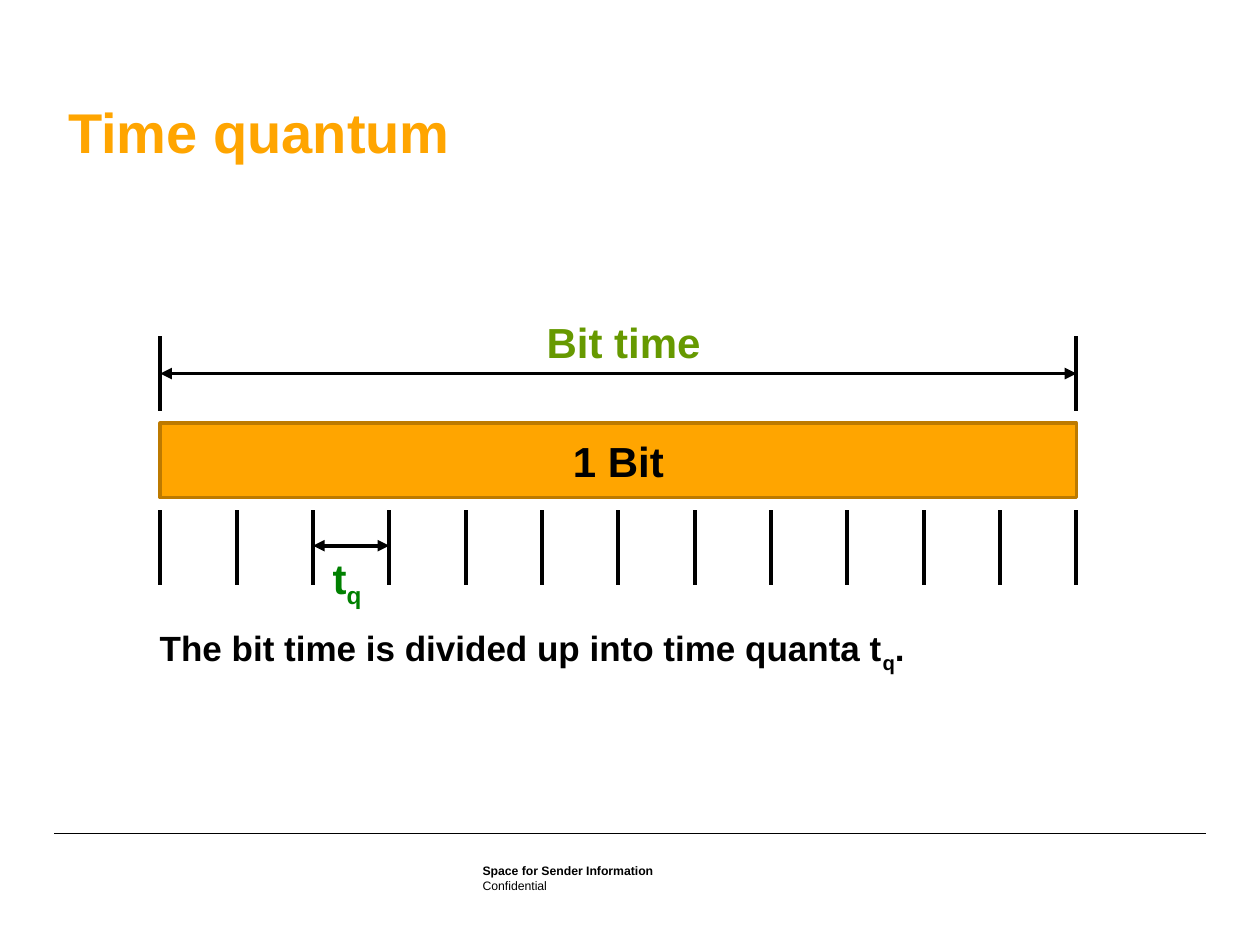
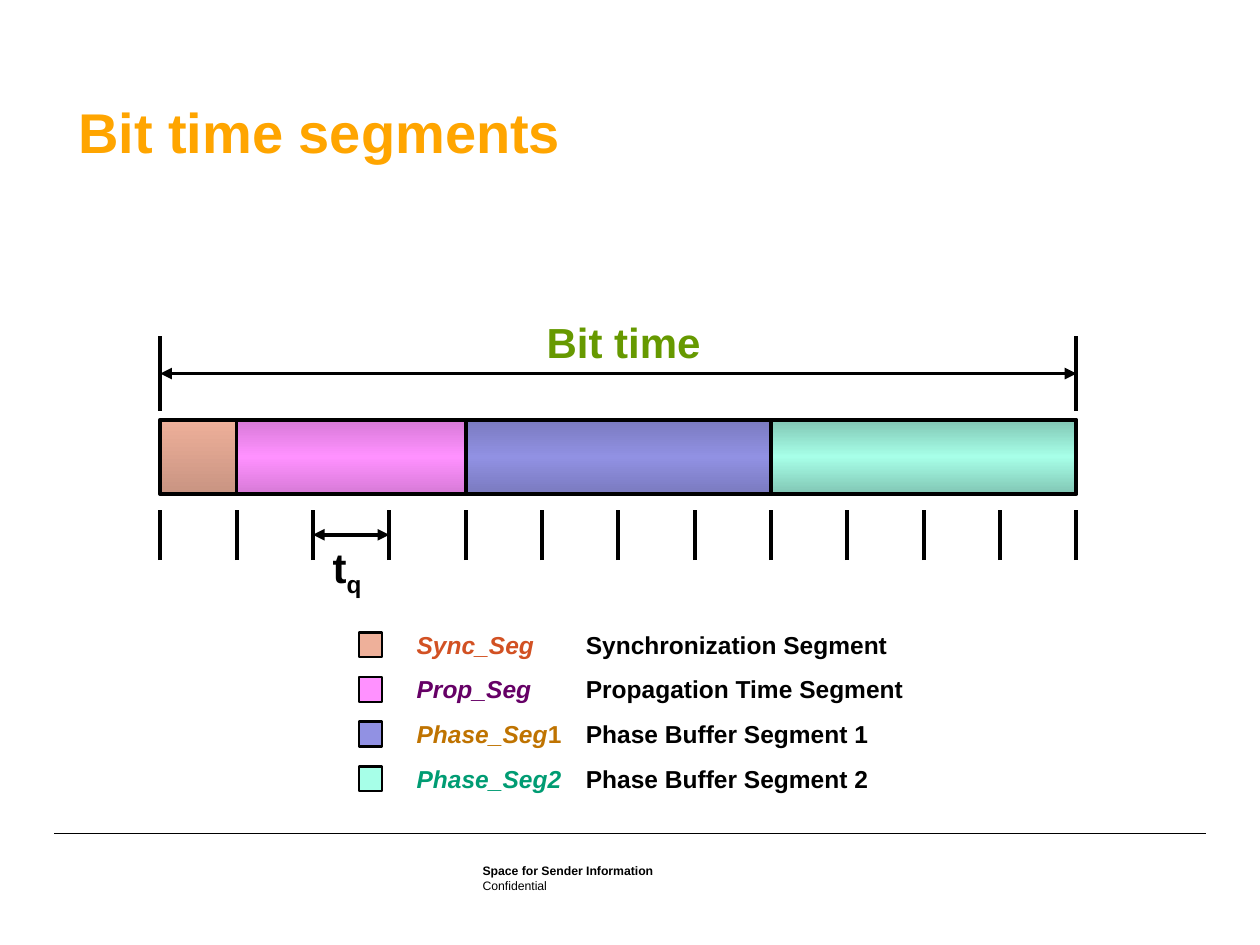
import lxml.etree
import pptx
import pptx.dml.color
import pptx.enum.dml
import pptx.enum.shapes
import pptx.enum.text
import pptx.oxml
import pptx.oxml.ns
import pptx.util

Cm = pptx.util.Cm
Pt = pptx.util.Pt
qn = pptx.oxml.ns.qn

COLORS = {
    "black": "000000",
    "title": "FFA500",
    "title_shadow": "C0C0C0",
    "bit_edge": "BD7A00",
    "bit_time": "669900",
    "quantum": "008000",
    "sync": "EEB09A",
    "sync_name": "D25123",
    "prop": "FF91FF",
    "prop_name": "660066",
    "phase1": "9191E3",
    "phase1_name": "BF7300",
    "phase2": "A7FFE8",
    "phase2_name": "009C73",
}
FONT = "Arial"
QUANTA = 12
DIAGRAM = (3.23, 6.78, 18.47)
BAR_HEIGHT = 1.5
MARKED_QUANTUM = 2

SEGMENTS = [
    ("sync", 1, [(0, 100), (100, 68)], [("Sync_Seg", "italic")], "Synchronization Segment"),
    ("prop", 3, [(0, 68), (50, 100), (100, 68)], [("Prop_Seg", "italic")], "Propagation Time Segment"),
    ("phase1", 4, [(0, 68), (50, 100), (100, 68)],
     [("Phase_Seg", "italic"), ("1", "")], "Phase Buffer Segment 1"),
    ("phase2", 4, [(0, 56), (50, 100), (100, 56)], [("Phase_Seg2", "italic")], "Phase Buffer Segment 2"),
]


def rgb(name):
    return pptx.dml.color.RGBColor.from_string(COLORS[name])


def write_spans(frame, spans, size, color, bold=True):
    para = frame.paragraphs[0]
    for text, style in spans:
        span = para.add_run()
        span.text = text
        span.font.name = FONT
        span.font.size = Pt(size)
        span.font.bold = bold
        span.font.italic = style == "italic"
        span.font.color.rgb = rgb(color)
        if style == "subscript":
            span._r.get_or_add_rPr().set("baseline", "-25000")


def add_label(page, box, spans, size, color, wrap=False):
    label = page.shapes.add_textbox(*map(Cm, box))
    label.text_frame.word_wrap = wrap
    write_spans(label.text_frame, spans, size, color)


def add_line(page, start, end, width=2.25, arrows=False):
    line = page.shapes.add_connector(
        pptx.enum.shapes.MSO_CONNECTOR.STRAIGHT, *map(Cm, start + end))
    line.line.color.rgb = rgb("black")
    line.line.width = Pt(width)
    properties = line._element.spPr
    if arrows:
        outline = properties.find(qn("a:ln"))
        for tag in ("a:headEnd", "a:tailEnd"):
            lxml.etree.SubElement(outline, qn(tag), type="triangle")
    lxml.etree.SubElement(properties, qn("a:effectLst"))


def add_block(page, box, fill, edge="black", width=2.25):
    block = page.shapes.add_shape(pptx.enum.shapes.MSO_SHAPE.RECTANGLE, *map(Cm, box))
    block.shadow.inherit = False
    block.fill.solid()
    block.fill.fore_color.rgb = rgb(fill)
    block.line.color.rgb = rgb(edge)
    block.line.width = Pt(width)
    return block


def shade_block(block, color, stops):
    block.fill.gradient()
    block.fill.gradient_angle = 270
    stop_list = block._element.spPr.find(qn("a:gradFill")).find(qn("a:gsLst"))
    for stop in list(stop_list):
        stop_list.remove(stop)
    for position, shade in stops:
        stop = lxml.etree.SubElement(stop_list, qn("a:gs"), pos=str(position * 1000))
        tone = lxml.etree.SubElement(stop, qn("a:srgbClr"), val=COLORS[color])
        if shade < 100:
            lxml.etree.SubElement(tone, qn("a:shade"), val=str(shade * 1000))


def add_title(page, box, text):
    title = page.shapes.title
    title.left, title.top, title.width, title.height = map(Cm, box)
    frame = title.text_frame
    frame.text = text
    frame.word_wrap = False
    frame.auto_size = pptx.enum.text.MSO_AUTO_SIZE.NONE
    frame.vertical_anchor = pptx.enum.text.MSO_ANCHOR.TOP
    para = frame.paragraphs[0]
    para.alignment = pptx.enum.text.PP_ALIGN.LEFT
    span = para.runs[0]
    span.font.size = Pt(32)
    span.font.bold = True
    span.font.color.rgb = rgb("title")
    effects = lxml.etree.SubElement(span._r.get_or_add_rPr(), qn("a:effectLst"))
    shadow = lxml.etree.SubElement(
        effects, qn("a:outerShdw"), dist="35921", dir="2700000", algn="ctr")
    lxml.etree.SubElement(shadow, qn("a:srgbClr"), val=COLORS["title_shadow"])
    span.font.name = FONT


def add_footer(page, left, top, width):
    add_line(page, (left, top), (left + width, top), 0.35)
    rows = [
        ("Space for Sender Information", 0.53, 0.38, True, pptx.enum.text.MSO_ANCHOR.BOTTOM),
        ("Confidential", 0.91, 0.36, False, pptx.enum.text.MSO_ANCHOR.TOP),
    ]
    for text, offset, height, bold, anchor in rows:
        note = page.shapes.add_textbox(
            Cm(left + 8.64), Cm(top + offset), Cm(7.57), Cm(height))
        frame = note.text_frame
        frame.word_wrap = True
        frame.margin_left = frame.margin_top = frame.margin_right = frame.margin_bottom = 0
        frame.vertical_anchor = anchor
        write_spans(frame, [(text, "")], 7, "black", bold)


def add_bit_time(page, left, top, width):
    right = left + width
    for x in (left, right):
        add_line(page, (x, top + BAR_HEIGHT), (x, top))
    middle = top + BAR_HEIGHT / 2
    add_line(page, (left, middle), (right, middle), arrows=True)
    add_label(page, (left + 7.54, top - 0.53, 3.66, 1.27), [("Bit time", "")], 24, "bit_time")


def add_quantum_scale(page, left, top, width, height, arrow_drop, color):
    pitch = width / QUANTA
    for index in range(QUANTA + 1):
        x = left + index * pitch
        add_line(page, (x, top + height), (x, top))
    start = left + MARKED_QUANTUM * pitch
    y = top + arrow_drop
    add_line(page, (start, y), (start + pitch, y), arrows=True)
    add_label(page, (start + 0.15, y + 0.01, 1.22, 1.27),
              [("t", ""), ("q", "subscript")], 24, color, wrap=True)


def add_single_bit(page, left, top, width):
    bit = add_block(page, (left, top, width, BAR_HEIGHT), "title", "bit_edge", 2)
    frame = bit.text_frame
    frame.vertical_anchor = pptx.enum.text.MSO_ANCHOR.MIDDLE
    frame.paragraphs[0].alignment = pptx.enum.text.PP_ALIGN.CENTER
    write_spans(frame, [("1 Bit", "")], 24, "black")


def add_segments(page, left, top, width):
    pitch = width / QUANTA
    for color, quanta, stops, _, _ in SEGMENTS:
        block = add_block(page, (left, top, quanta * pitch, BAR_HEIGHT), color)
        shade_block(block, color, stops)
        left += quanta * pitch


def add_legend(page, left, top):
    for row, (color, _, _, name, meaning) in enumerate(SEGMENTS):
        y = top + row * 0.9
        add_block(page, (left, y + 0.18, 0.46, 0.5), color, width=1.5)
        add_label(page, (left + 0.91, y, 3.45, 0.86), name, 14, color + "_name", wrap=True)
        add_label(page, (left + 4.32, y, 7.2, 0.86), [(meaning, "")], 14, "black", wrap=True)


def start_page(deck, title, title_box):
    page = deck.slides.add_slide(deck.slide_layouts[5])
    add_title(page, title_box, title)
    add_footer(page, 1.09, 16.79, 23.22)
    add_bit_time(page, *DIAGRAM)
    return page


def build_quantum_page(deck):
    page = start_page(deck, "Time quantum", (1.12, 1.83, 8.28, 1.63))
    left, top, width = DIAGRAM
    add_single_bit(page, left, top + 1.75, width)
    add_quantum_scale(page, left, top + 3.51, width, 1.5, 0.71, "quantum")
    add_label(page, (left - 0.26, top + 5.72, 18.42, 1.12),
              [("The bit time is divided up into time quanta t", ""),
               ("q", "subscript"), (".", "")], 20, "black", wrap=True)


def build_segments_page(deck):
    page = start_page(deck, "Bit time segments", (1.32, 1.83, 10.31, 1.63))
    left, top, width = DIAGRAM
    add_segments(page, left, top + 1.68, width)
    add_quantum_scale(page, left, top + 3.51, width, 1, 0.49, "black")
    add_legend(page, left + 4.01, top + 5.79)


def main():
    deck = pptx.Presentation()
    deck.slide_width = Cm(25.4)
    deck.slide_height = Cm(19.05)
    build_quantum_page(deck)
    build_segments_page(deck)
    deck.save("out.pptx")


if __name__ == "__main__":
    main()
